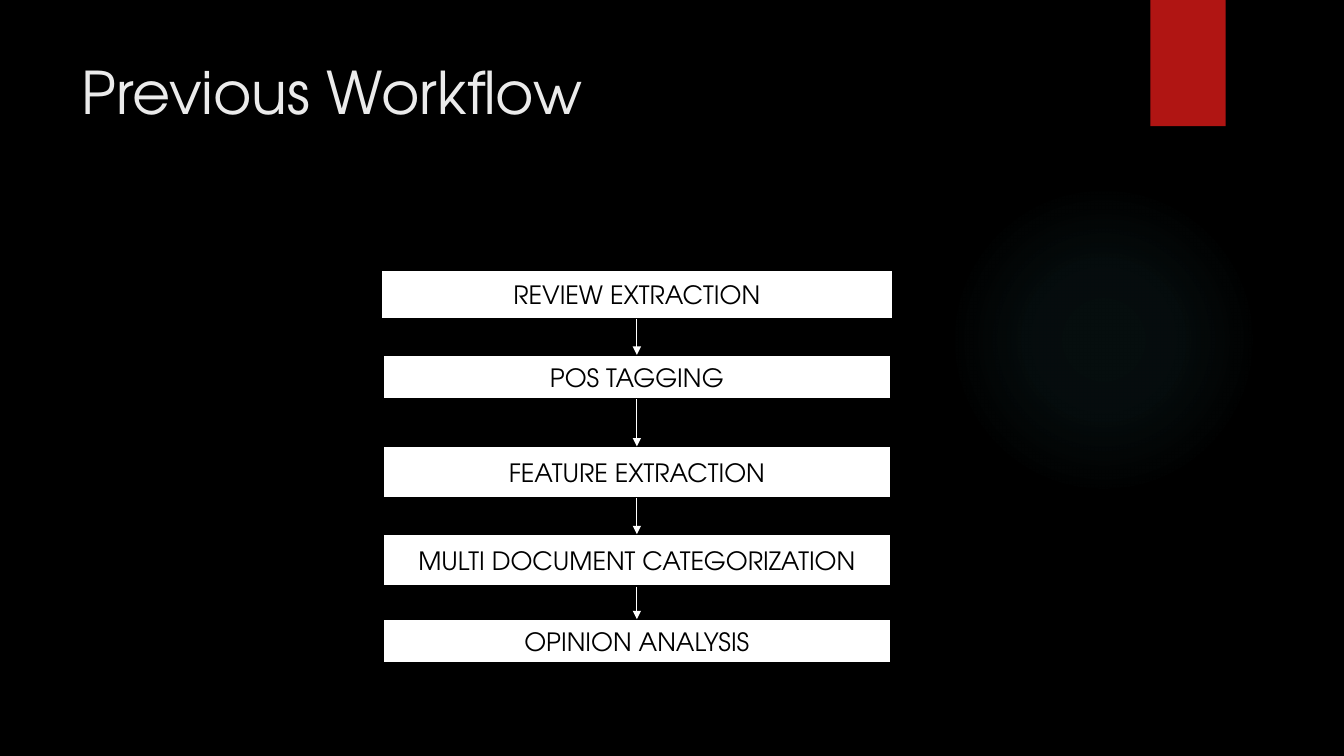
import dataclasses
import itertools

import lxml.etree
import pptx
import pptx.dml.color
import pptx.enum.shapes
import pptx.enum.text
import pptx.oxml
import pptx.oxml.ns
import pptx.util

Cm, Pt = pptx.util.Cm, pptx.util.Pt
RGB = pptx.dml.color.RGBColor.from_string
SHAPE = pptx.enum.shapes.MSO_SHAPE
ALIGN = pptx.enum.text.PP_ALIGN
ANCHOR = pptx.enum.text.MSO_ANCHOR
qn = pptx.oxml.ns.qn


@dataclasses.dataclass(frozen=True)
class Theme:
    font: str = "TeX Gyre Adventor"
    black: str = "000000"
    white: str = "FFFFFF"
    title: str = "EBEBEB"
    ribbon: str = "B01513"
    glow: str = "50B9C1"
    title_size: int = 42
    step_size: int = 18


theme = Theme()


def add_box(kind, left, top, width, height, fill):
    """Add a filled shape, lengths in cm, without outline or shadow."""
    sp = s.shapes.add_shape(kind, Cm(left), Cm(top), Cm(width), Cm(height))
    sp.shadow.inherit = False
    sp.fill.solid()
    sp.fill.fore_color.rgb = RGB(fill)
    sp.line.fill.background()
    return sp


def set_text(tf, text, align, size, color):
    tf.word_wrap = True
    tf.text = text
    p = tf.paragraphs[0]
    p.alignment = align
    r = p.runs[0]
    r.font.name = theme.font
    r.font.size = Pt(size)
    r.font.color.rgb = RGB(color)


prs = pptx.Presentation()
prs.slide_width, prs.slide_height = Cm(33.87), Cm(19.05)
s = prs.slides.add_slide(prs.slide_layouts[5])
s.background.fill.solid()
s.background.fill.fore_color.rgb = RGB(theme.black)

# Background glow: radial gradient that fades to transparent
glow = add_box(SHAPE.OVAL, 23.9, 4.65, 7.82, 7.82, theme.glow)
stops = "".join(
    f'<a:gs pos="{pos * 1000}"><a:srgbClr val="{theme.glow}">'
    f'<a:alpha val="{alpha * 1000}"/></a:srgbClr></a:gs>'
    for pos, alpha in [(0, 7), (36, 6), (69, 0)]
)
gradient = pptx.oxml.parse_xml(
    f'<a:gradFill {pptx.oxml.ns.nsdecls("a")}><a:gsLst>{stops}</a:gsLst>'
    '<a:path path="circle"><a:fillToRect l="50000" t="50000" r="50000" b="50000"/>'
    "</a:path></a:gradFill>"
)
spPr = glow.element.spPr
spPr.replace(spPr.find(qn("a:solidFill")), gradient)

# Ribbon with a soft shadow below it
ribbon = add_box(SHAPE.RECTANGLE, 28.99, 0, 1.9, 3.18, theme.ribbon)
shadow = lxml.etree.SubElement(
    ribbon.element.spPr.find(qn("a:effectLst")), qn("a:outerShdw"),
    blurRad=str(int(Pt(3))), dist=str(int(Pt(2))), dir=str(90 * 60000),
)
color = lxml.etree.SubElement(shadow, qn("a:srgbClr"), val=theme.black)
lxml.etree.SubElement(color, qn("a:alpha"), val="45000")

# Title, in front of the decoration
title = s.shapes.title
title.left, title.top, title.width, title.height = Cm(1.8), Cm(1.27), Cm(26.14), Cm(3.89)
set_text(title.text_frame, "Previous Workflow", ALIGN.JUSTIFY, theme.title_size, theme.title)
title.text_frame.vertical_anchor = ANCHOR.TOP
title.element.getparent().append(title.element)

# Workflow steps, centred on one axis: text, top, width, height
axis = 16.05
steps = [
    ("REVIEW EXTRACTION", 6.81, 12.9, 1.22),
    ("POS TAGGING", 8.94, 12.8, 1.12),
    ("FEATURE EXTRACTION", 11.25, 12.8, 1.3),
    ("MULTI DOCUMENT CATEGORIZATION", 13.46, 12.8, 1.32),
    ("OPINION ANALYSIS", 15.6, 12.8, 1.12),
]
boxes = []
for text, top, width, height in steps:
    sp = add_box(SHAPE.RECTANGLE, axis - width / 2, top, width, height, theme.white)
    sp.line.color.rgb = RGB(theme.black)
    sp.line.width = Pt(1.5)
    set_text(sp.text_frame, text, ALIGN.CENTER, theme.step_size, theme.black)
    sp.text_frame.vertical_anchor = ANCHOR.MIDDLE
    boxes.append(sp)

for upper, lower in itertools.pairwise(boxes):
    arrow = s.shapes.add_connector(pptx.enum.shapes.MSO_CONNECTOR.STRAIGHT, 0, 0, 0, 0)
    arrow.begin_connect(upper, 2)
    arrow.end_connect(lower, 0)
    arrow.line.color.rgb = RGB(theme.white)
    arrow.line.width = Pt(0.75)
    spPr = arrow.element.spPr
    lxml.etree.SubElement(spPr.find(qn("a:ln")), qn("a:tailEnd"), type="triangle")
    lxml.etree.SubElement(spPr, qn("a:effectLst"))

prs.save("out.pptx")
